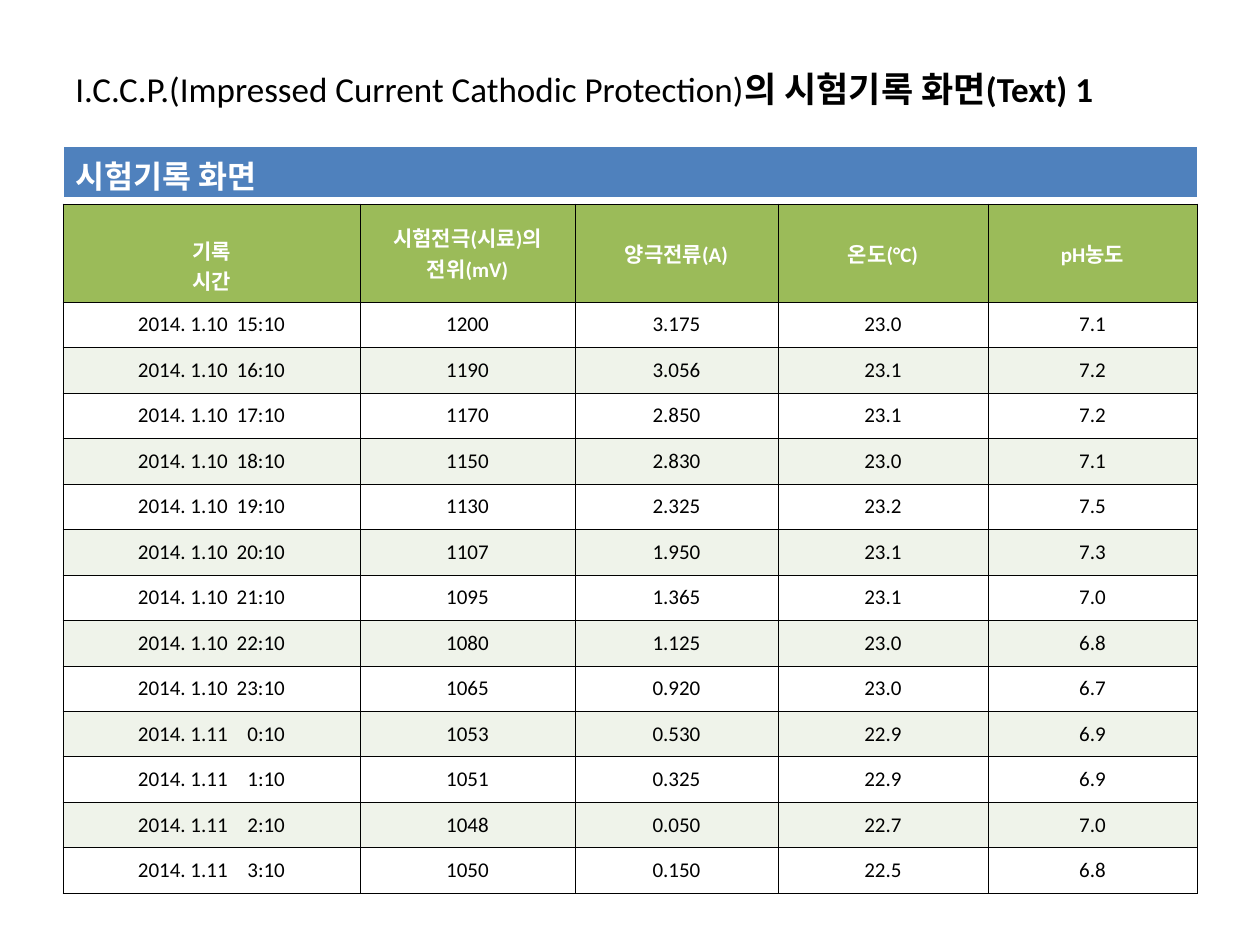
import lxml.etree
import pptx
import pptx.dml.color
import pptx.enum.text
import pptx.oxml.ns
import pptx.util

EMU_PER_PX = 914400 / 126
FONT = "Calibri"
ALIGN = pptx.enum.text.PP_ALIGN
ANCHOR = pptx.enum.text.MSO_ANCHOR
COLORS = {
    "text": "000000",
    "white": "FFFFFF",
    "banner": "4F81BD",
    "header": "9BBB59",
    "band": "EFF3EA",
}

HEADERS = ["기록\n시간", "시험전극(시료)의 전위(mV)", "양극전류(A)", "온도(°C)", "pH농도"]
COLUMN_WIDTHS = [297, 215, 203, 210, 209]
RECORDS = [
    ("2014. 1.10\t15:10", "1200", "3.175", "23.0", "7.1"),
    ("2014. 1.10\t16:10", "1190", "3.056", "23.1", "7.2"),
    ("2014. 1.10\t17:10", "1170", "2.850", "23.1", "7.2"),
    ("2014. 1.10\t18:10", "1150", "2.830", "23.0", "7.1"),
    ("2014. 1.10\t19:10", "1130", "2.325", "23.2", "7.5"),
    ("2014. 1.10\t20:10", "1107", "1.950", "23.1", "7.3"),
    ("2014. 1.10\t21:10", "1095", "1.365", "23.1", "7.0"),
    ("2014. 1.10\t22:10", "1080", "1.125", "23.0", "6.8"),
    ("2014. 1.10\t23:10", "1065", "0.920", "23.0", "6.7"),
    ("2014. 1.11\t0:10", "1053", "0.530", "22.9", "6.9"),
    ("2014. 1.11\t1:10", "1051", "0.325", "22.9", "6.9"),
    ("2014. 1.11\t2:10", "1048", "0.050", "22.7", "7.0"),
    ("2014. 1.11\t3:10", "1050", "0.150", "22.5", "6.8"),
]
HEADER_HEIGHT = 98
TIME_INDENT = 75
TIME_TAB = 147


def px(length):
    return pptx.util.Emu(round(length * EMU_PER_PX))


def rgb(name):
    return pptx.dml.color.RGBColor.from_string(COLORS[name])


def add_element(parent, tag, **attributes):
    element = lxml.etree.SubElement(parent, pptx.oxml.ns.qn(tag))
    for key, value in attributes.items():
        element.set(key, str(value))
    return element


def write(frame, text, size=12, color="text", bold=False, align=ALIGN.LEFT, right_tab=None):
    """Continue the last paragraph; each line break starts a new one."""
    for number, line in enumerate(text.split("\n")):
        paragraph = frame.add_paragraph() if number else frame.paragraphs[-1]
        paragraph.alignment = align
        if right_tab:
            tabs = add_element(paragraph._p.get_or_add_pPr(), "a:tabLst")
            add_element(tabs, "a:tab", pos=px(right_tab), algn="r")
        run = paragraph.add_run()
        run.text = line
        run.font.name = FONT
        run.font.size = pptx.util.Pt(size)
        run.font.bold = bold
        run.font.color.rgb = rgb(color)


def style_cell(cell, fill, border, widths, anchor=ANCHOR.MIDDLE):
    """Set fill and anchor, and border widths in points for each side."""
    properties = cell._tc.get_or_add_tcPr()
    for side, width in zip("LRTB", widths):
        line = add_element(properties, f"a:ln{side}", w=pptx.util.Pt(width))
        color = add_element(line, "a:solidFill")
        add_element(color, "a:srgbClr", val=COLORS[border])
    cell.fill.solid()
    cell.fill.fore_color.rgb = rgb(fill)
    cell.vertical_anchor = anchor


def add_plain_table(slide, rows, columns, box):
    table = slide.shapes.add_table(rows, columns, *map(px, box)).table
    table.first_row = False
    table.horz_banding = False
    return table


def add_title(slide, box):
    frame = slide.shapes.add_textbox(*map(px, box)).text_frame
    frame.word_wrap = True
    frame.vertical_anchor = ANCHOR.MIDDLE
    write(frame, "I.C.C.P.(Impressed Current Cathodic Protection)", size=20)
    write(frame, "의 시험기록 화면(Text) 1", size=20, bold=True)


def add_records(slide, box):
    table = add_plain_table(slide, len(RECORDS) + 1, len(HEADERS), box)
    for column, width in zip(table.columns, COLUMN_WIDTHS):
        column.width = px(width)

    table.rows[0].height = px(HEADER_HEIGHT)
    for index, header in enumerate(HEADERS):
        cell = table.cell(0, index)
        anchor = ANCHOR.MIDDLE if index else ANCHOR.BOTTOM
        style_cell(cell, "header", "text", [0.45] * 4, anchor)
        write(cell.text_frame, header, color="white", bold=True, align=ALIGN.CENTER)

    record_height = (box[3] - HEADER_HEIGHT) / len(RECORDS)
    for row, record in enumerate(RECORDS, start=1):
        table.rows[row].height = px(record_height)
        for index, value in enumerate(record):
            cell = table.cell(row, index)
            style_cell(cell, "white" if row % 2 else "band", "text", [0.45] * 4)
            if index:
                write(cell.text_frame, value, align=ALIGN.CENTER)
            else:
                cell.margin_left = px(TIME_INDENT)
                write(cell.text_frame, value, right_tab=TIME_TAB)


def add_banner(slide, box):
    table = add_plain_table(slide, 1, 1, box)
    cell = table.cell(0, 0)
    style_cell(cell, "banner", "white", [0.45, 0.45, 0.45, 1.47], ANCHOR.TOP)
    write(cell.text_frame, "시험기록 화면", size=18, color="white", bold=True)


def main():
    presentation = pptx.Presentation()
    presentation.slide_width = px(1260)
    presentation.slide_height = px(945)
    slide = presentation.slides.add_slide(presentation.slide_layouts[6])
    add_title(slide, (63, 38, 1134, 101))
    add_records(slide, (63, 204, 1134, 690))
    add_banner(slide, (63, 146, 1134, 52))
    presentation.save("out.pptx")


if __name__ == "__main__":
    main()
